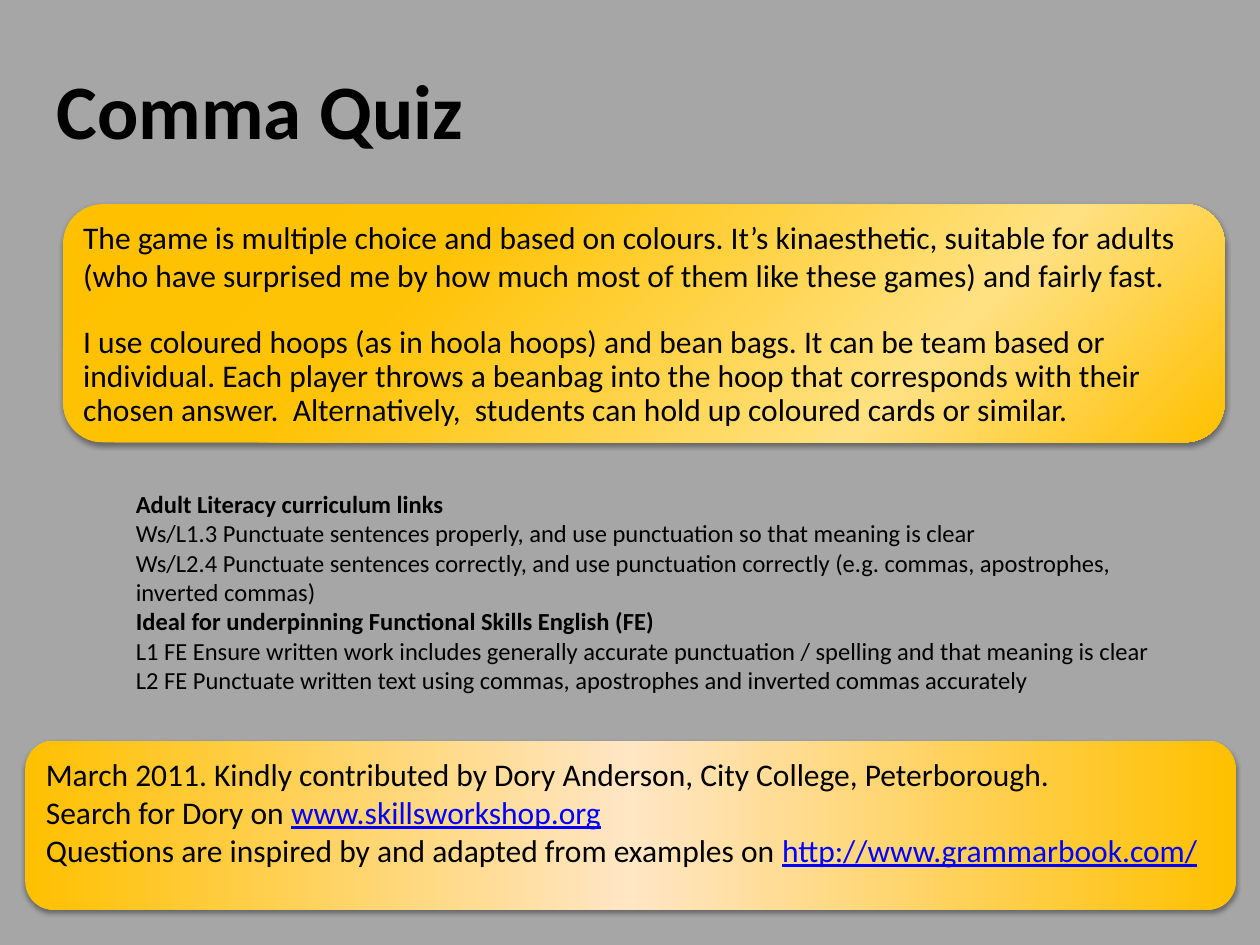
from lxml import etree
from pptx import Presentation
from pptx.dml.color import RGBColor
from pptx.enum.shapes import MSO_SHAPE
from pptx.enum.text import MSO_ANCHOR, PP_ALIGN
from pptx.oxml import parse_xml
from pptx.util import Inches, Pt

ROUNDED = MSO_SHAPE.ROUNDED_RECTANGLE
TOP, MIDDLE = MSO_ANCHOR.TOP, MSO_ANCHOR.MIDDLE
LEFT = PP_ALIGN.LEFT

BLACK = RGBColor(0x00, 0x00, 0x00)
GREY = RGBColor(0xA6, 0xA6, 0xA6)
LINK_BLUE = RGBColor(0x00, 0x00, 0xFF)
GOLD = RGBColor(0xFF, 0xC0, 0x00)
DEEP_GOLD = RGBColor(0xFF, 0xC3, 0x05)
PALE_GOLD = RGBColor(0xFF, 0xE1, 0x82)
CREAM = RGBColor(0xFF, 0xE6, 0xC5)

FONT = "Calibri"
DRAWING = "http://schemas.openxmlformats.org/drawingml/2006/main"

INTRO = [
    "The game is multiple choice and based on colours. It’s kinaesthetic, suitable for adults "
    "(who have surprised me by how much most of them like these games) and fairly fast.",
    "I use coloured hoops (as in hoola hoops) and bean bags. It can be team based or individual. "
    "Each player throws a beanbag into the hoop that corresponds with their chosen answer.  "
    "Alternatively,  students can hold up coloured cards or similar.",
]
CURRICULUM = [
    ("Adult Literacy curriculum links",
     "Ws/L1.3 Punctuate sentences properly, and use punctuation so that meaning is clear\n"
     "Ws/L2.4 Punctuate sentences correctly, and use punctuation correctly "
     "(e.g. commas, apostrophes, inverted commas)"),
    ("Ideal for underpinning Functional Skills English (FE)",
     "L1 FE Ensure written work includes generally accurate punctuation / spelling "
     "and that meaning is clear\n"
     "L2 FE Punctuate written text using commas, apostrophes and inverted commas accurately"),
]
CREDITS = [
    ("March 2011. Kindly contributed by Dory Anderson, City College, Peterborough.", ""),
    ("Search for Dory on ", "www.skillsworkshop.org"),
    ("Questions are inspired by and adapted from examples on ", "http://www.grammarbook.com/"),
]


def add_text(para, text, size=18, color=BLACK, bold=False, underline=False):
    """Append formatted text to a paragraph, with a line break at each newline."""
    para.alignment = LEFT
    for index, line in enumerate(text.split("\n")):
        if index:
            para.add_line_break()
        span = para.add_run()
        span.text = line
        span.font.name = FONT
        span.font.size = Pt(size)
        span.font.color.rgb = color
        span.font.bold = bold
        span.font.underline = underline


def next_para(frame):
    """Return the empty first paragraph of a frame, or a new one."""
    first = frame.paragraphs[0]
    return frame.add_paragraph() if first.runs else first


def prepare_frame(box, anchor):
    """Wrap the text of a box, anchor it and return its frame."""
    frame = box.text_frame
    frame.word_wrap = True
    frame.vertical_anchor = anchor
    return frame


def add_panel(shapes, area, stops, angle):
    """Add a rounded panel with a gradient fill and a soft shadow below it."""
    panel = shapes.add_shape(ROUNDED, *area)
    panel.shadow.inherit = False
    panel.line.fill.background()
    panel.fill.gradient()
    gradient = panel._element.spPr.find(f"{{{DRAWING}}}gradFill")
    stop_list = gradient.find(f"{{{DRAWING}}}gsLst")
    for old_stop in list(stop_list):
        stop_list.remove(old_stop)
    for position, color in stops:
        stop = etree.SubElement(stop_list, f"{{{DRAWING}}}gs", pos=str(position * 1000))
        etree.SubElement(stop, f"{{{DRAWING}}}srgbClr", val=str(color))
    gradient.find(f"{{{DRAWING}}}lin").set("ang", str(angle * 60000))
    effects = panel._element.spPr.find(f"{{{DRAWING}}}effectLst")
    effects.append(parse_xml(
        f'<a:outerShdw xmlns:a="{DRAWING}" blurRad="{Pt(3.1)}" dist="{Pt(1.6)}" '
        'dir="5400000" rotWithShape="0"><a:srgbClr val="000000">'
        '<a:alpha val="38000"/></a:srgbClr></a:outerShdw>'))
    return panel


def place_title(page, area):
    """Move and format the title placeholder."""
    title = page.shapes.title
    title.left, title.top, title.width, title.height = area
    frame = prepare_frame(title, MIDDLE)
    add_text(frame.paragraphs[0], "Comma Quiz", size=44, bold=True)


def place_intro(page, area):
    """Place the grouped panel that explains the game."""
    left, top, width, height = area
    group = page.shapes.add_group_shape()
    stops = [(0, GOLD), (31, DEEP_GOLD), (73, PALE_GOLD), (100, GOLD)]
    add_panel(group.shapes, area, stops, 45)
    inset = Inches(0.09)
    box = group.shapes.add_textbox(left + inset, top + inset,
                                   width - 2 * inset, height - 2 * inset)
    frame = prepare_frame(box, MIDDLE)
    frame.margin_left = frame.margin_right = Inches(0.07)
    frame.margin_top = frame.margin_bottom = Inches(0.07)
    for text in INTRO:
        add_text(next_para(frame), text)
    closing = frame.paragraphs[-1]
    closing.line_spacing = 0.9
    closing.space_before = Pt(19)


def place_curriculum(page, area):
    """Place the curriculum links under their bold headings."""
    frame = prepare_frame(page.shapes.add_textbox(*area), TOP)
    for heading, details in CURRICULUM:
        add_text(next_para(frame), heading, size=14, bold=True)
        add_text(next_para(frame), details, size=14)


def place_credits(page, area):
    """Place the credits panel with its web addresses."""
    stops = [(0, GOLD), (50, CREAM), (100, GOLD)]
    frame = prepare_frame(add_panel(page.shapes, area, stops, 180), TOP)
    for text, address in CREDITS:
        para = next_para(frame)
        add_text(para, text)
        if address:
            add_text(para, address, color=LINK_BLUE, underline=True)


def main():
    """Build the slide and save the deck."""
    deck = Presentation()
    deck.slide_width, deck.slide_height = Inches(10), Inches(7.5)
    page = deck.slides.add_slide(deck.slide_layouts[5])
    page.background.fill.solid()
    page.background.fill.fore_color.rgb = GREY
    place_title(page, (Inches(0.35), Inches(0.36), Inches(6.06), Inches(1.01)))
    place_intro(page, (Inches(0.5), Inches(1.62), Inches(9.22), Inches(1.89)))
    place_curriculum(page, (Inches(0.98), Inches(3.83), Inches(8.35), Inches(1.57)))
    place_credits(page, (Inches(0.2), Inches(5.88), Inches(9.61), Inches(1.34)))
    deck.save("out.pptx")


if __name__ == "__main__":
    main()
